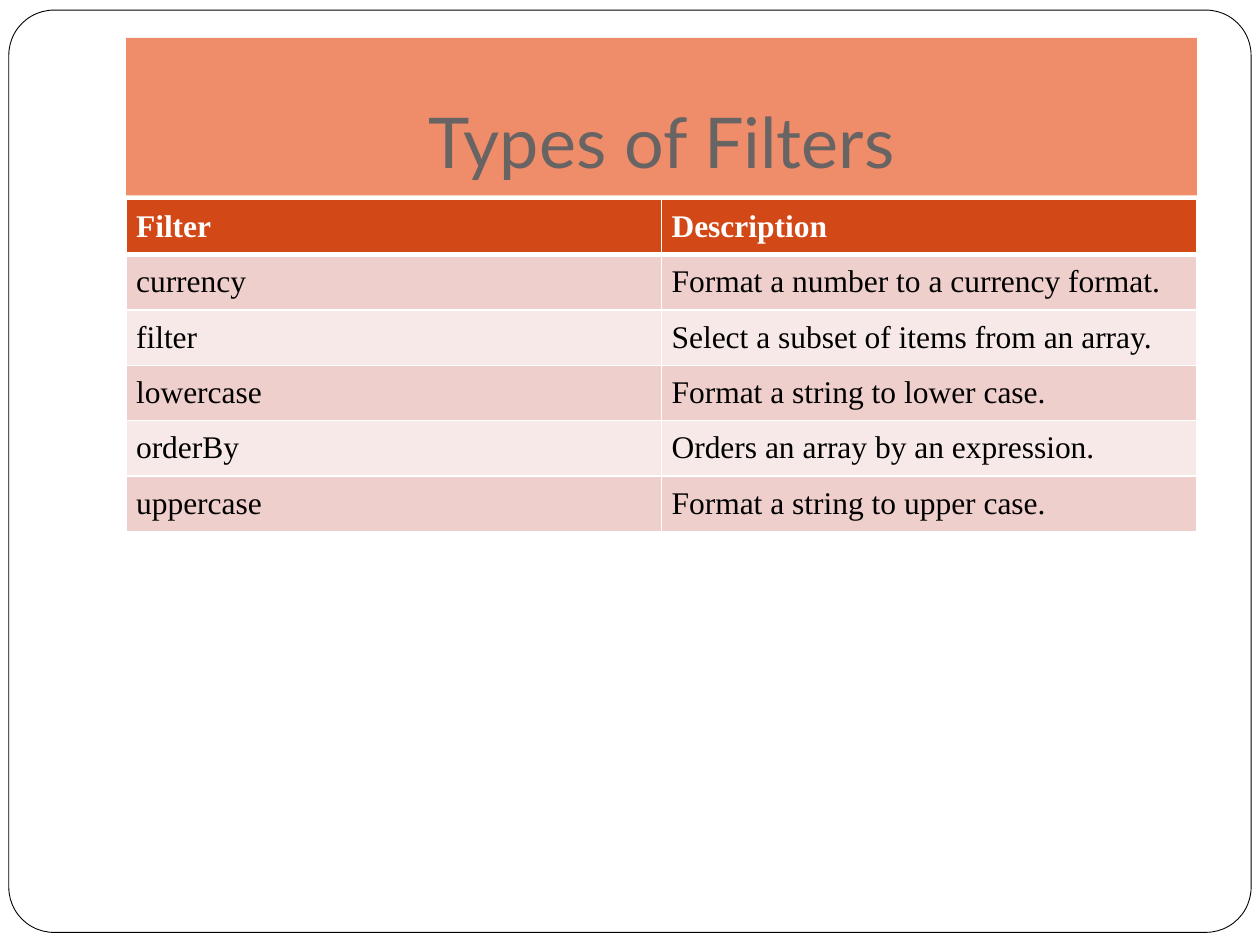
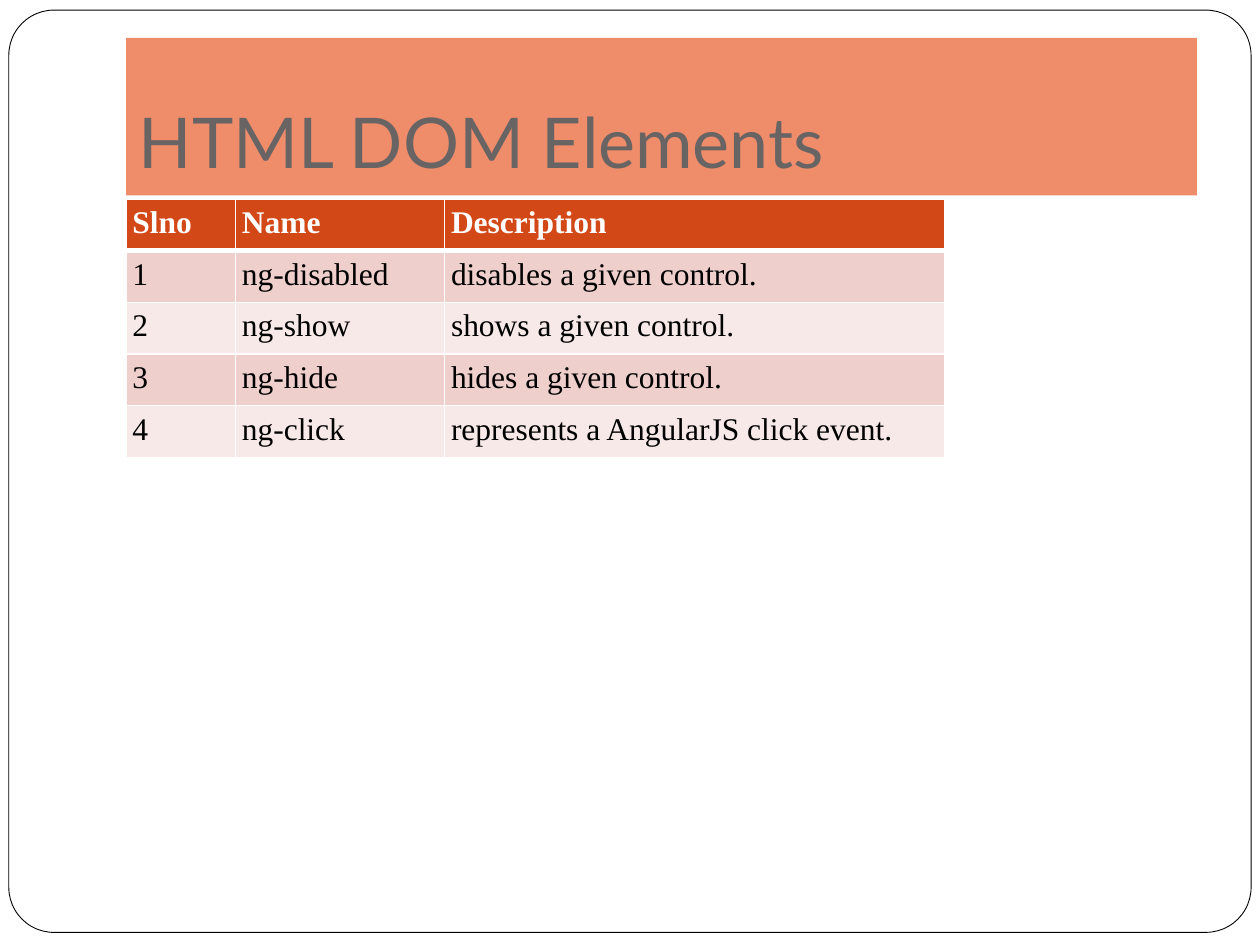
from lxml.etree import SubElement
from pptx import Presentation
from pptx.dml.color import RGBColor
from pptx.enum.shapes import MSO_SHAPE
from pptx.enum.text import MSO_ANCHOR, MSO_AUTO_SIZE, PP_ALIGN
from pptx.oxml.ns import qn
from pptx.util import Inches, Pt

COLORS = {
    "white": "FFFFFF",
    "black": "000000",
    "title_band": "EF8C6A",
    "title_text": "696464",
    "header": "D34817",
    "odd_row": "EFCFCC",
    "even_row": "F7E9E8",
}
TITLE_BOX = (1, 0.3, 8.5, 1.25)
FRAME_BOX = (0.07, 0.08, 9.86, 7.32)
TABLE_LEFT, TABLE_TOP = 1, 1.58

FILTERS = [
    ("Filter", "Description"),
    ("currency", "Format a number to a currency format."),
    ("filter", "Select a subset of items from an array."),
    ("lowercase", "Format a string to lower case."),
    ("orderBy", "Orders an array by an expression."),
    ("uppercase", "Format a string to upper case."),
]
DOM_DIRECTIVES = [
    ("Slno", "Name", "Description"),
    ("1", "ng-disabled", "disables a given control."),
    ("2", "ng-show", "shows a given control."),
    ("3", "ng-hide", "hides a given control."),
    ("4", "ng-click", "represents a AngularJS click event."),
]


def rgb(name):
    """Return the named palette colour."""
    return RGBColor.from_string(COLORS[name])


def write_text(text_frame, text, *, font, size, color, bold=False, align=PP_ALIGN.LEFT):
    """Put one formatted paragraph in a text frame."""
    para = text_frame.paragraphs[0]
    para.alignment = align
    span = para.add_run()
    span.text = text
    span.font.name = font
    span.font.size = Pt(size)
    span.font.bold = bold
    span.font.color.rgb = rgb(color)


def set_margins(target, left, top, right, bottom):
    """Set the inner margins of a text frame or table cell."""
    target.margin_left, target.margin_top = Inches(left), Inches(top)
    target.margin_right, target.margin_bottom = Inches(right), Inches(bottom)


def add_page_frame(page, box):
    """Draw the rounded frame and move it to the layout shared by all pages."""
    frame = page.shapes.add_shape(MSO_SHAPE.ROUNDED_RECTANGLE, *map(Inches, box))
    frame.adjustments[0] = 0.049
    frame.shadow.inherit = False
    frame.fill.solid()
    frame.fill.fore_color.rgb = rgb("white")
    frame.line.color.rgb = rgb("black")
    frame.line.width = Pt(0.5)
    page.slide_layout.shapes.element.insert(2, frame.element)


def add_title(page, text, box, align):
    """Format the title placeholder as a coloured band."""
    title = page.shapes.title
    title.left, title.top, title.width, title.height = map(Inches, box)
    title.fill.solid()
    title.fill.fore_color.rgb = rgb("title_band")
    text_frame = title.text_frame
    text_frame.auto_size = MSO_AUTO_SIZE.NONE
    text_frame.word_wrap = True
    text_frame.vertical_anchor = MSO_ANCHOR.BOTTOM
    set_margins(text_frame, 0.1, 0.05, 0.1, 0.1)
    write_text(text_frame, text, font="Lato", size=40, color="title_text", align=align)


def set_borders(cell, **widths):
    """Give a cell white borders with the given widths in points."""
    properties = cell._tc.get_or_add_tcPr()
    for side in "LRTB":
        line = SubElement(properties, qn(f"a:ln{side}"), w=str(Pt(widths.get(side, 1))))
        fill = SubElement(line, qn("a:solidFill"))
        SubElement(fill, qn("a:srgbClr"), val=COLORS["white"])


def add_banded_table(page, rows, left, top, widths, row_height, margin):
    """Add a table with a header row and alternating row fills."""
    size = (sum(widths), row_height * len(rows))
    table = page.shapes.add_table(
        len(rows), len(widths), *map(Inches, (left, top, *size))
    ).table
    for column, width in zip(table.columns, widths):
        column.width = Inches(width)
    for index, values in enumerate(rows):
        table.rows[index].height = Inches(row_height)
        is_header = index == 0
        band = "header" if is_header else "odd_row" if index % 2 else "even_row"
        for column, text in enumerate(values):
            cell = table.cell(index, column)
            set_margins(cell, *[margin] * 4)
            set_borders(cell, T=3 if index == 1 else 1, B=3 if is_header else 1)
            cell.fill.solid()
            cell.fill.fore_color.rgb = rgb(band)
            write_text(cell.text_frame, text, font="Times New Roman", size=18,
                       color="white" if is_header else "black", bold=is_header)


def add_table_page(deck, title, align, rows, widths, row_height, margin):
    """Add a page with a title band and a table below it."""
    page = deck.slides.add_slide(deck.slide_layouts.get_by_name("Title Only"))
    add_title(page, title, TITLE_BOX, align)
    add_banded_table(page, rows, TABLE_LEFT, TABLE_TOP, widths, row_height, margin)
    return page


def main():
    """Build and save the deck."""
    deck = Presentation()
    deck.slide_width, deck.slide_height = Inches(10), Inches(7.5)
    filters_page = add_table_page(deck, "Types of Filters", PP_ALIGN.CENTER,
                                  FILTERS, [4.25, 4.25], 0.44, 0.08)
    add_page_frame(filters_page, FRAME_BOX)
    add_table_page(deck, "HTML DOM Elements", PP_ALIGN.LEFT,
                   DOM_DIRECTIVES, [0.87, 1.66, 3.97], 0.41, 0.05)
    deck.save("out.pptx")


if __name__ == "__main__":
    main()
